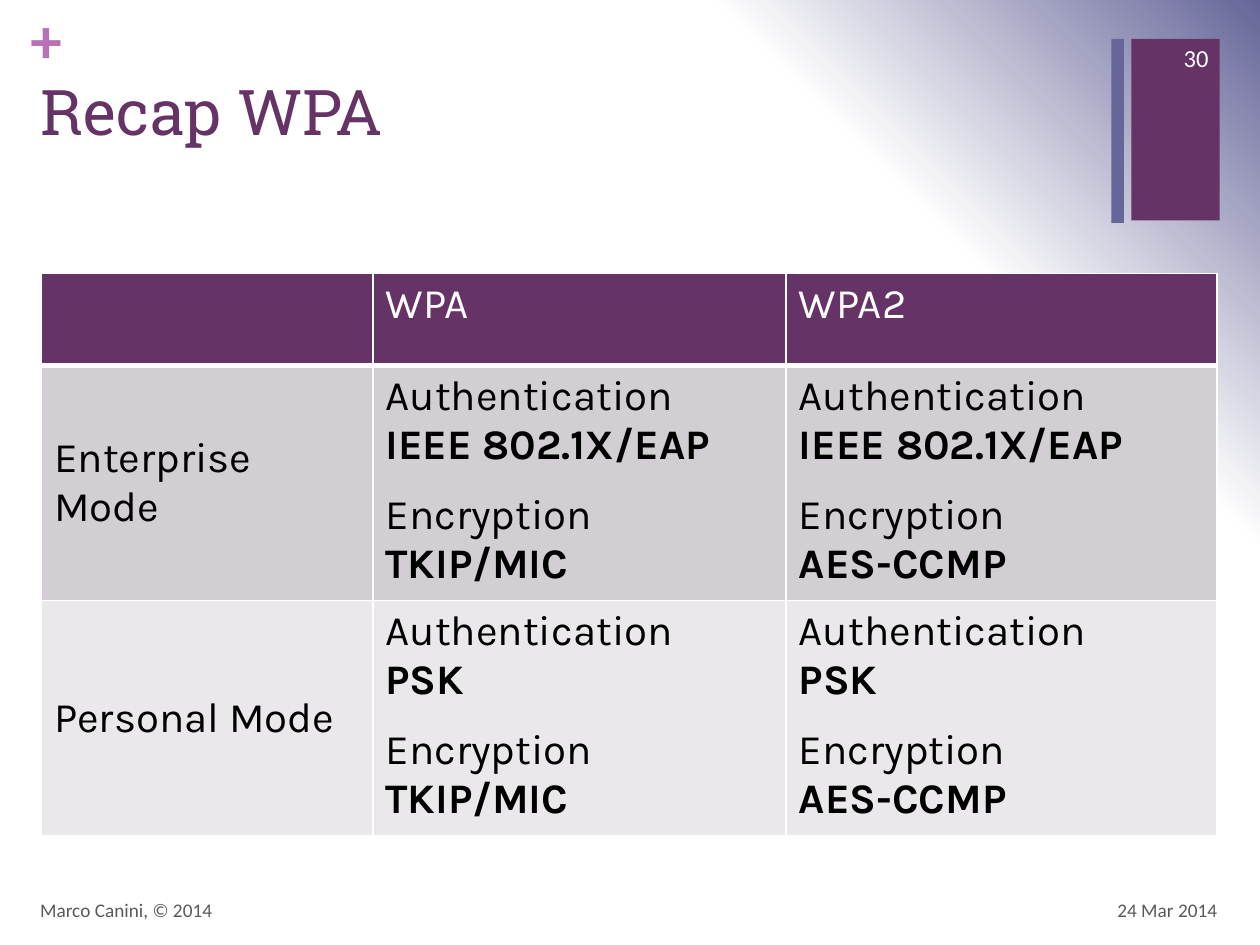
from dataclasses import dataclass

from pptx import Presentation
from pptx.dml.color import RGBColor
from pptx.enum.shapes import MSO_SHAPE
from pptx.enum.text import MSO_ANCHOR, PP_ALIGN
from pptx.oxml import parse_xml
from pptx.oxml.ns import nsdecls
from pptx.util import Inches, Pt

RECTANGLE = MSO_SHAPE.RECTANGLE
TOP, MIDDLE = MSO_ANCHOR.TOP, MSO_ANCHOR.MIDDLE
LEFT, RIGHT = PP_ALIGN.LEFT, PP_ALIGN.RIGHT

COLORS = {
    "plum": "663366",
    "slate": "666699",
    "orchid": "B870B8",
    "gray": "595959",
    "white": "FFFFFF",
    "black": "000000",
    "band_dark": "D3CED3",
    "band_light": "EAE8EA",
}


@dataclass
class Bar:
    left: float
    top: float
    width: float
    height: float
    color: str


@dataclass
class Label:
    text: str
    left: float
    top: float
    width: float
    height: float
    size: float
    color: str
    font: str = "Calibri"
    bold: bool = False
    align: PP_ALIGN = LEFT
    anchor: MSO_ANCHOR = MIDDLE
    inset: bool = True


@dataclass
class Mode:
    name: str
    authentication: str
    color: str


BARS = [
    Bar(8.98, 0.31, 0.7, 1.44, "plum"),
    Bar(8.82, 0.31, 0.1, 1.46, "slate"),
]
LABELS = [
    Label("+", 0.24, 0, 0.29, 0.61, 36, "orchid", bold=True, anchor=TOP, inset=False),
    Label("Recap WPA", 0.22, 0.53, 8.59, 1.22, 36, "plum", "Roboto Slab", anchor=TOP),
    Label("24 Mar 2014", 7.43, 7.02, 2.33, 0.4, 11, "gray", align=RIGHT),
    Label("Marco Canini, © 2014", 0.22, 7.02, 6.7, 0.4, 11, "gray"),
    Label("30", 9.08, 0.26, 0.61, 0.4, 14, "white", align=RIGHT),
]
ENCRYPTION = {"WPA": "TKIP/MIC", "WPA2": "AES-CCMP"}
MODES = [
    Mode("Enterprise Mode", "IEEE 802.1X/EAP", "band_dark"),
    Mode("Personal Mode", "PSK", "band_light"),
]
COLUMN_WIDTHS = [2.63, 3.28, 3.42]
ROW_HEIGHTS = [0.73, 1.82, 1.82]


def rgb(name: str) -> RGBColor:
    return RGBColor.from_string(COLORS[name])


def set_background(page) -> None:
    """Radial gradient spreading from the bottom left corner."""
    stops = "".join(
        f'<a:gs pos="{position}"><a:srgbClr val="{COLORS[color]}"/></a:gs>'
        for position, color in [(0, "white"), (75000, "white"), (100000, "slate")]
    )
    page.element.cSld.insert(0, parse_xml(
        f'<p:bg {nsdecls("p", "a")}><p:bgPr><a:gradFill rotWithShape="1">'
        f'<a:gsLst>{stops}</a:gsLst><a:path path="circle">'
        '<a:fillToRect t="100000" r="100000"/></a:path></a:gradFill>'
        '<a:effectLst/></p:bgPr></p:bg>'
    ))


def set_font(para, size: float, color: str, name: str, bold: bool) -> None:
    para.font.size = Pt(size)
    para.font.name = name
    para.font.bold = bold
    para.font.color.rgb = rgb(color)


def draw_bar(page, bar: Bar) -> None:
    shape = page.shapes.add_shape(
        RECTANGLE, Inches(bar.left), Inches(bar.top), Inches(bar.width), Inches(bar.height))
    shape.shadow.inherit = False
    shape.fill.solid()
    shape.fill.fore_color.rgb = rgb(bar.color)
    shape.line.fill.background()


def draw_label(page, label: Label) -> None:
    box = page.shapes.add_textbox(
        Inches(label.left), Inches(label.top), Inches(label.width), Inches(label.height))
    frame = box.text_frame
    frame.word_wrap = True
    frame.vertical_anchor = label.anchor
    if not label.inset:
        frame.margin_left = frame.margin_right = 0
        frame.margin_top = frame.margin_bottom = 0
    para = frame.paragraphs[0]
    para.text = label.text
    para.alignment = label.align
    set_font(para, label.size, label.color, label.font, label.bold)


def set_borders(cell, bottom: float) -> None:
    """White borders, 1 pt except for the bottom one."""
    properties = cell._tc.get_or_add_tcPr()
    for index, (side, width) in enumerate([("L", 1), ("R", 1), ("T", 1), ("B", bottom)]):
        properties.insert(index, parse_xml(
            f'<a:ln{side} {nsdecls("a")} w="{Pt(width)}"><a:solidFill>'
            f'<a:srgbClr val="{COLORS["white"]}"/></a:solidFill></a:ln{side}>'
        ))


def fill_cell(cell, lines: list[str], fill: str, color: str = "black",
              anchor: MSO_ANCHOR = TOP, bottom: float = 1) -> None:
    """Lines alternate between a plain heading and its bold value."""
    cell.fill.solid()
    cell.fill.fore_color.rgb = rgb(fill)
    cell.vertical_anchor = anchor
    set_borders(cell, bottom)
    frame = cell.text_frame
    for index, line in enumerate(lines):
        para = frame.add_paragraph() if index else frame.paragraphs[0]
        para.text = line
        set_font(para, 24, color, "Karla", index % 2 == 1)
        if index == 2:
            para.space_before = Pt(12)


def draw_table(page) -> None:
    table = page.shapes.add_table(
        len(ROW_HEIGHTS), len(COLUMN_WIDTHS), Inches(0.33), Inches(2.17),
        Inches(sum(COLUMN_WIDTHS)), Inches(sum(ROW_HEIGHTS))).table
    table.first_row = table.horz_banding = False
    for column, width in zip(table.columns, COLUMN_WIDTHS):
        column.width = Inches(width)
    for row, height in zip(table.rows, ROW_HEIGHTS):
        row.height = Inches(height)

    for column, heading in enumerate(["", *ENCRYPTION]):
        fill_cell(table.cell(0, column), [heading], "plum", "white", bottom=3)
    for row, mode in enumerate(MODES, start=1):
        fill_cell(table.cell(row, 0), [mode.name], mode.color, anchor=MIDDLE)
        for column, cipher in enumerate(ENCRYPTION.values(), start=1):
            lines = ["Authentication", mode.authentication, "Encryption", cipher]
            fill_cell(table.cell(row, column), lines, mode.color)


def main() -> None:
    deck = Presentation()
    deck.slide_width, deck.slide_height = Inches(10), Inches(7.5)
    page = deck.slides.add_slide(deck.slide_layouts[6])
    set_background(page)
    for bar in BARS:
        draw_bar(page, bar)
    for label in LABELS:
        draw_label(page, label)
    draw_table(page)
    deck.save("out.pptx")


if __name__ == "__main__":
    main()
